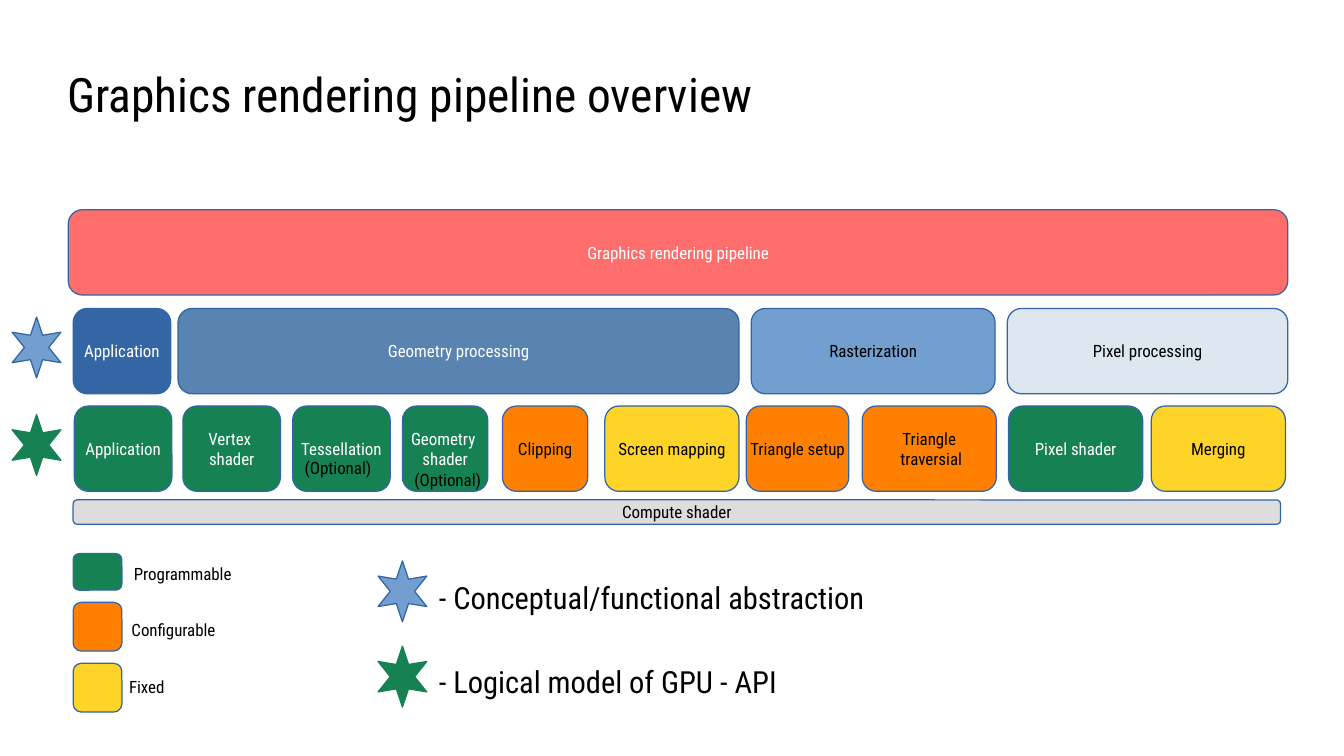
from typing import NamedTuple

from pptx import Presentation
from pptx import util as u
from pptx.dml.color import RGBColor
from pptx.enum import shapes, text

CELL = u.Inches(0.1)  # side of one grid square
COLUMNS, ROWS = 110.2, 62


class Theme:
    font = "Roboto Condensed"
    title_size, key_size, label_size = 28, 18, 10
    black, white, grey = "000000", "FFFFFF", "DDDDDD"
    outline, navy, steel, sky, pale = "3465A4", "3465A4", "5983B0", "729FCF", "DEE6EF"
    coral, green, orange, yellow = "FF6D6D", "168253", "FF8000", "FFD428"


class Box(NamedTuple):
    """An area of the slide in grid columns and rows."""
    left: float
    top: float
    width: float
    height: float

    def inner(self, column, row, width, height):
        return Box(self.left + column, self.top + row, width, height)

    def emu(self):
        return [round(length * CELL) for length in self]


def write(shape, lines, size, color, align, anchor, wrap):
    frame = shape.text_frame
    frame.word_wrap = wrap
    frame.vertical_anchor = anchor
    frame.text = lines
    for paragraph in frame.paragraphs:
        paragraph.alignment = align
        paragraph.font.name = Theme.font
        paragraph.font.size = u.Pt(size)
        paragraph.font.color.rgb = RGBColor.from_string(color)
    return frame


def add_label(slide, box, words, size=Theme.label_size, anchor=text.MSO_ANCHOR.TOP):
    label = slide.shapes.add_textbox(*box.emu())
    return write(label, words, size, Theme.black, text.PP_ALIGN.LEFT, anchor, True)


def paint(shape, fill, outline=Theme.outline):
    shape.shadow.inherit = False
    shape.fill.solid()
    shape.fill.fore_color.rgb = RGBColor.from_string(fill)
    shape.line.color.rgb = RGBColor.from_string(outline)
    shape.line.width = u.Pt(0)


def add_block(slide, box, fill, words="", color=Theme.black):
    block = slide.shapes.add_shape(shapes.MSO_SHAPE.ROUNDED_RECTANGLE, *box.emu())
    paint(block, fill)
    if words:
        write(block, words, Theme.label_size, color, text.PP_ALIGN.CENTER,
              text.MSO_ANCHOR.MIDDLE, False)


def add_star(slide, box, fill, outline):
    # Right half from top to bottom, then its mirror image back up
    right = [(0.5, 0), (0.625, 0.3), (1, 0.25), (0.75, 0.5),
             (1, 0.75), (0.625, 0.7), (0.5, 1)]
    left = [(1 - x, y) for x, y in reversed(right[1:-1])]
    points = [(round((box.left + x * box.width) * CELL),
               round((box.top + y * box.height) * CELL)) for x, y in right + left]
    builder = slide.shapes.build_freeform(*points[0])
    builder.add_line_segments(points[1:], close=True)
    paint(builder.convert_to_shape(), fill, outline)


STARS = [(Theme.sky, Theme.outline), (Theme.green, Theme.green)]


def add_title(slide, box):
    frame = add_label(slide, box, "Graphics rendering pipeline overview",
                      Theme.title_size, text.MSO_ANCHOR.MIDDLE)
    frame.margin_left = frame.margin_right = frame.margin_top = frame.margin_bottom = 0


def add_pipeline(slide, box):
    t = Theme
    # Each row: top, height, then blocks as left, width, fill, words, text colour
    rows = [
        (0, 7, [(0, 100, t.coral, "Graphics rendering pipeline", t.white)]),
        (8.1, 7, [
            (0.4, 8, t.navy, "Application", t.white),
            (9, 46, t.steel, "Geometry processing", t.white),
            (56, 20, t.sky, "Rasterization", t.black),
            (77, 23, t.pale, "Pixel processing", t.black)]),
        (16.1, 7, [
            (0.5, 8, t.green, "Application", t.white),
            (9.4, 8, t.green, "Vertex \nshader", t.white),
            (18.4, 8, t.green, "Tessellation", t.white),
            (27.4, 7, t.green, "Geometry \nshader", t.white),
            (35.6, 7, t.orange, "Clipping", t.black),
            (44, 11, t.yellow, "Screen mapping", t.black),
            (55.6, 8.4, t.orange, "Triangle setup", t.black),
            (65.1, 11, t.orange, "Triangle\n traversial", t.black),
            (77.1, 11, t.green, "Pixel shader", t.white),
            (88.8, 11, t.yellow, "Merging", t.black)]),
        (23.8, 2, [(0.4, 99, t.grey, "Compute shader", t.black)]),
    ]
    for top, height, blocks in rows:
        for left, width, fill, words, color in blocks:
            add_block(slide, box.inner(left, top, width, height), fill, words, color)
    # Notes on the optional stages
    for left, top in [(18.4, 19.8), (27.4, 20.8)]:
        add_label(slide, box.inner(left, top, 8.4, 2.9), "(Optional)")
    # Stars marking the two models
    for index, colors in enumerate(STARS):
        add_star(slide, box.inner(-4.6, 8.8 + 8 * index, 4, 5), *colors)


def add_stage_legend(slide, box):
    entries = [
        (0, 3, Theme.green, 4, 0.3, "Programmable"),
        (4, 4, Theme.orange, 3.8, 4.9, "Configurable"),
        (9, 4, Theme.yellow, 3.6, 9.6, "Fixed"),
    ]
    for top, height, fill, label_left, label_top, words in entries:
        add_block(slide, box.inner(0, top, 4, height), fill)
        add_label(slide, box.inner(label_left, label_top, 11.7, 2.9), words)


def add_model_key(slide, box):
    entries = ["- Conceptual/functional abstraction", "- Logical model of GPU - API"]
    for index, (words, colors) in enumerate(zip(entries, STARS)):
        add_star(slide, box.inner(0, 7 * index, 4, 5), *colors)
        add_label(slide, box.inner(4, 1 + 6.9 * index, 41, 4.4), words, Theme.key_size)


def main():
    presentation = Presentation()
    presentation.slide_width = round(COLUMNS * CELL)
    presentation.slide_height = round(ROWS * CELL)
    slide = presentation.slides.add_slide(presentation.slide_layouts[6])
    add_title(slide, Box(5.5, 2.5, 99.2, 10.4))
    add_pipeline(slide, Box(5.6, 17.2, 100, 25.8))
    add_stage_legend(slide, Box(6, 45.4, 15.7, 13))
    add_model_key(slide, Box(31, 46, 45, 12))
    presentation.save("out.pptx")


if __name__ == "__main__":
    main()
